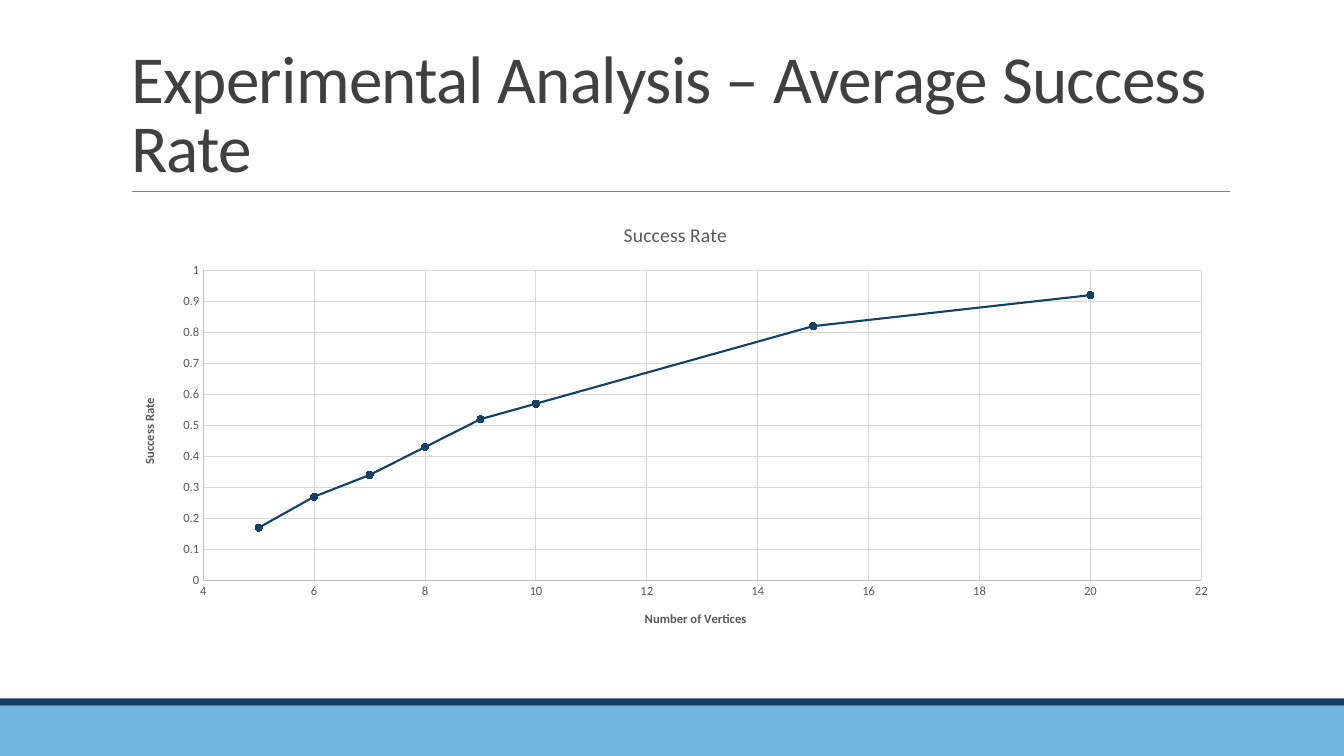
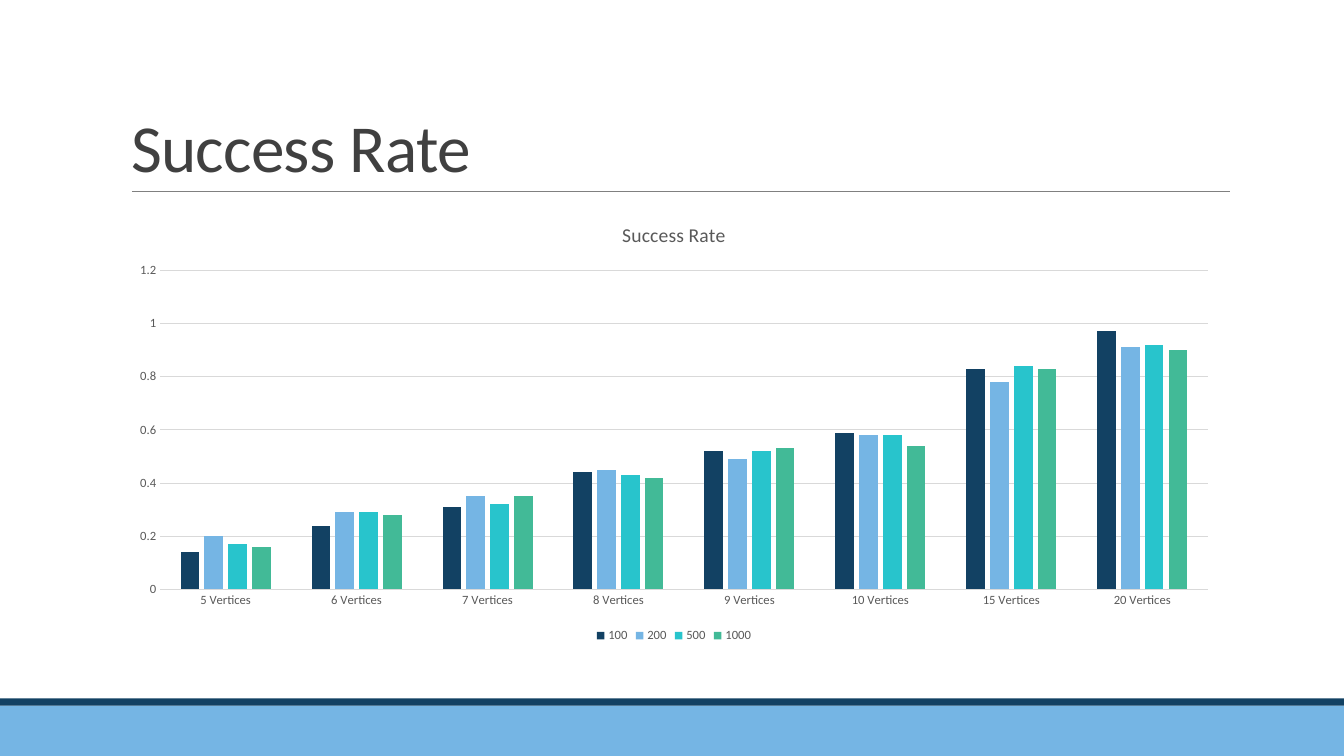
from pptx import Presentation
from pptx.chart.data import CategoryChartData, XyChartData
from pptx.dml.color import RGBColor
from pptx.enum.chart import XL_CHART_TYPE as ChartType
from pptx.enum.chart import XL_LEGEND_POSITION as LegendPos
from pptx.enum.chart import XL_MARKER_STYLE as Marker
from pptx.enum.chart import XL_TICK_MARK as Tick
from pptx.enum.shapes import MSO_CONNECTOR as Connector
from pptx.enum.shapes import MSO_SHAPE as Shape
from pptx.enum.text import MSO_ANCHOR as Anchor
from pptx.enum.text import MSO_AUTO_SIZE as AutoSize
from pptx.enum.text import PP_ALIGN as Align
from pptx.oxml.ns import qn
from pptx.util import Emu, Pt
from lxml.etree import SubElement

FONT = "Calibri"
NAVY = RGBColor(0x12, 0x41, 0x63)
SKY = RGBColor(0x75, 0xB5, 0xE4)
TURQUOISE = RGBColor(0x28, 0xC4, 0xCC)
GREEN = RGBColor(0x42, 0xBA, 0x97)
RULE = RGBColor(0x80, 0x80, 0x80)
TITLE = RGBColor(0x40, 0x40, 0x40)
LABEL = RGBColor(0x59, 0x59, 0x59)
AXIS = RGBColor(0xBF, 0xBF, 0xBF)
GRID = RGBColor(0xD9, 0xD9, 0xD9)

VERTICES = [5, 6, 7, 8, 9, 10, 15, 20]
AVERAGE_RATES = [0.17, 0.27, 0.34, 0.43, 0.52, 0.57, 0.82, 0.92]
RATES_BY_RUNS = {
    "100": [0.14, 0.24, 0.31, 0.44, 0.52, 0.59, 0.83, 0.97],
    "200": [0.2, 0.29, 0.35, 0.45, 0.49, 0.58, 0.78, 0.91],
    "500": [0.17, 0.29, 0.32, 0.43, 0.52, 0.58, 0.84, 0.92],
    "1000": [0.16, 0.28, 0.35, 0.42, 0.53, 0.54, 0.83, 0.9],
}
RUN_COLORS = [NAVY, SKY, TURQUOISE, GREEN]


def px(*lengths):
    """Turn pixels (100.8 to the inch) into EMU."""
    return [Emu(round(n * 914400 / 100.8)) for n in lengths]


def set_font(font, size, color, bold=False):
    """Format a font."""
    font.name, font.size, font.bold = FONT, Pt(size), bold
    font.color.rgb = color


def write(tf, text, size=9, color=LABEL, bold=False, align=None,
          line_spacing=None, tracking=None):
    """Write one formatted paragraph into a text frame."""
    p = tf.paragraphs[0]
    p.alignment = align
    if line_spacing:
        p.line_spacing = line_spacing
    r = p.add_run()
    r.text = text
    set_font(r.font, size, color, bold)
    if tracking:
        r.font._element.set("spc", str(round(tracking * 100)))


def add_band(slide, top, height, color):
    """Add a full-width band."""
    sp = slide.shapes.add_shape(Shape.RECTANGLE, *px(0, top, 1344, height))
    sp.shadow.inherit = False
    sp.fill.solid()
    sp.fill.fore_color.rgb = color
    sp.line.fill.background()


def add_rule(slide, left, right, y):
    """Add the thin line below the title."""
    rule = slide.shapes.add_connector(Connector.STRAIGHT, *px(left, y, right, y))
    set_line(rule.line, RULE, 0.5)
    SubElement(rule._element.spPr, qn("a:effectLst"))


def add_titled_slide(prs, title):
    """Add a slide with the shared bands, rule and title."""
    slide = prs.slides.add_slide(prs.slide_layouts[5])
    add_band(slide, 705.6, 50.4, SKY)
    add_band(slide, 698.4, 7.2, NAVY)
    add_rule(slide, 132, 1230, 191.5)
    sp = slide.shapes.title
    sp.left, sp.top, sp.width, sp.height = px(121, 31, 1109, 160)
    tf = sp.text_frame
    tf.word_wrap = True
    tf.auto_size = AutoSize.NONE
    tf.vertical_anchor = Anchor.BOTTOM
    write(tf, title, size=48, color=TITLE, align=Align.LEFT,
          line_spacing=0.85, tracking=-0.5)
    return slide


def set_line(line, color, width=0.75):
    """Give a line its colour and width in points."""
    line.color.rgb = color
    line.width = Pt(width)


def style_axis(axis, line=None, grid=True, title=None, scale=None):
    """Format an axis; scale is (minimum, maximum, step)."""
    axis.major_tick_mark = axis.minor_tick_mark = Tick.NONE
    set_font(axis.tick_labels.font, 9, LABEL)
    axis.has_major_gridlines = grid
    if grid:
        set_line(axis.major_gridlines.format.line, GRID)
    if line is None:
        axis.format.line.fill.background()
    else:
        set_line(axis.format.line, line)
    if title:
        write(axis.axis_title.text_frame, title, bold=True)
    if scale:
        axis.minimum_scale, axis.maximum_scale, axis.major_unit = scale


def add_chart(slide, kind, data, left, width, title):
    """Add a chart with the shared font and title style."""
    chart = slide.shapes.add_chart(kind, *px(left, 204, width, 443), data).chart
    chart.font.name, chart.font.size = FONT, Pt(10)
    chart.has_legend = False
    chart.has_title = True
    write(chart.chart_title.text_frame, title, size=14)
    chart.chart_title.include_in_layout = False
    chart.plots[0].vary_by_categories = False
    return chart


def add_average_chart(slide):
    """Add the line of average success rate by number of vertices."""
    data = XyChartData()
    series = data.add_series("Success Rate")
    for vertices, rate in zip(VERTICES, AVERAGE_RATES):
        series.add_data_point(vertices, rate)
    chart = add_chart(slide, ChartType.XY_SCATTER_LINES, data, 121, 1109,
                      "Success Rate")
    style_axis(chart.category_axis, AXIS, title="Number of Vertices",
               scale=(4, 22, 2))
    style_axis(chart.value_axis, AXIS, title="Success Rate", scale=(0, 1, 0.1))
    line = chart.plots[0].series[0]
    line.smooth = False
    set_line(line.format.line, NAVY, 1.5)
    line.marker.style, line.marker.size = Marker.CIRCLE, 5
    line.marker.format.fill.solid()
    line.marker.format.fill.fore_color.rgb = NAVY
    set_line(line.marker.format.line, NAVY)


def add_runs_chart(slide):
    """Add the columns of success rate for each number of runs."""
    data = CategoryChartData()
    data.categories = [f"{n} Vertices" for n in VERTICES]
    for name, rates in RATES_BY_RUNS.items():
        data.add_series(name, rates)
    chart = add_chart(slide, ChartType.COLUMN_CLUSTERED, data, 118, 1112,
                      "Success Rate")
    style_axis(chart.category_axis, GRID, grid=False)
    style_axis(chart.value_axis, scale=(0, 1.2, 0.2))
    plot = chart.plots[0]
    plot.gap_width, plot.overlap = 219, -27
    for series, color in zip(plot.series, RUN_COLORS):
        series.format.fill.solid()
        series.format.fill.fore_color.rgb = color
    chart.has_legend = True
    chart.legend.position = LegendPos.BOTTOM
    chart.legend.include_in_layout = False
    set_font(chart.legend.font, 9, LABEL)


def main():
    """Build the two slides."""
    prs = Presentation()
    prs.slide_width, prs.slide_height = px(1344, 756)
    add_average_chart(add_titled_slide(
        prs, "Experimental Analysis \u2013 Average Success Rate"))
    add_runs_chart(add_titled_slide(prs, "Success Rate"))
    prs.save("out.pptx")


main()
